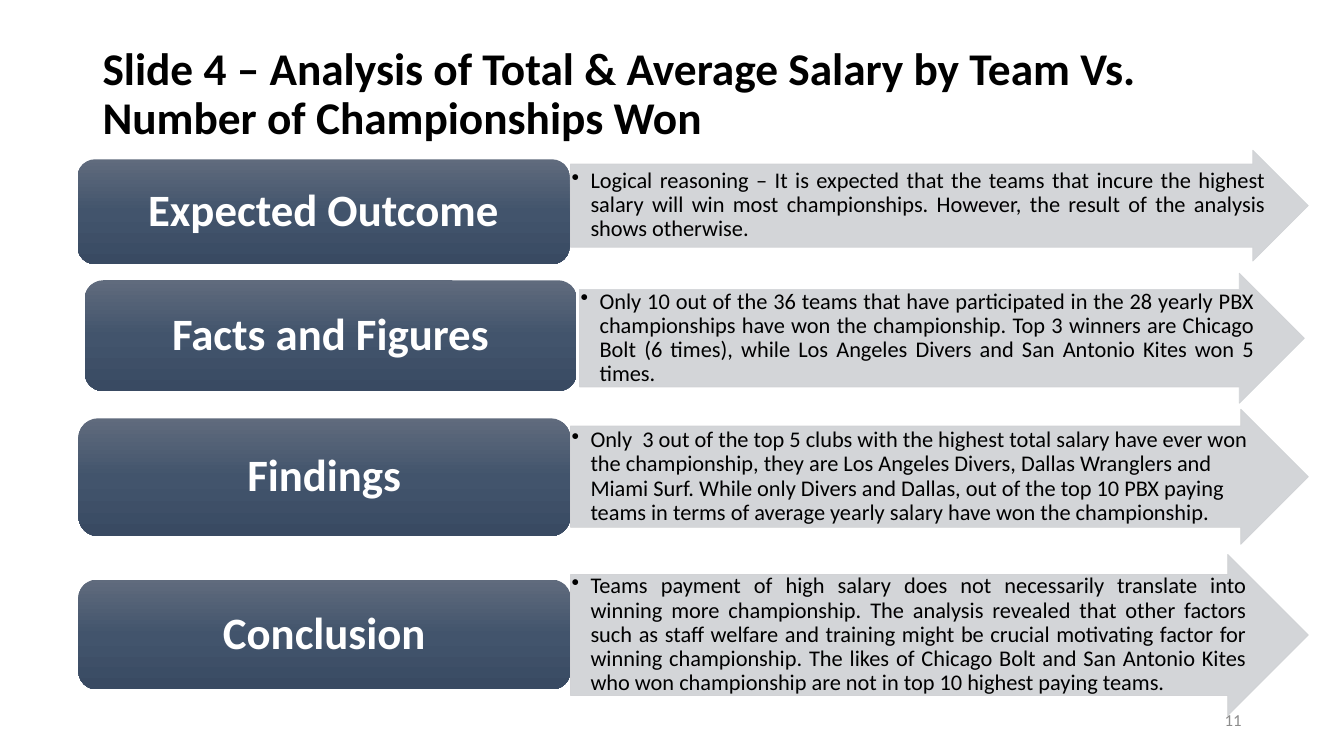
"""Build the slide on team salary versus championships won."""
from copy import deepcopy

from lxml import etree
from pptx import Presentation
from pptx.dml.color import RGBColor
from pptx.enum.shapes import MSO_SHAPE
from pptx.enum.text import MSO_ANCHOR, PP_ALIGN
from pptx.oxml.ns import qn
from pptx.util import Pt

ARROW, ROUNDED = MSO_SHAPE.RIGHT_ARROW, MSO_SHAPE.ROUNDED_RECTANGLE
MIDDLE = MSO_ANCHOR.MIDDLE
LEFT, CENTER, RIGHT, JUSTIFY = PP_ALIGN.LEFT, PP_ALIGN.CENTER, PP_ALIGN.RIGHT, PP_ALIGN.JUSTIFY
BLACK = RGBColor(0x00, 0x00, 0x00)
WHITE = RGBColor(0xFF, 0xFF, 0xFF)
GREY = RGBColor(0x8C, 0x8C, 0x8C)
ARROW_GREY = RGBColor(0xCF, 0xD1, 0xD4)
BOX_STOPS = [
    (0, RGBColor(0x60, 0x6B, 0x7D)),
    (0.5, RGBColor(0x42, 0x54, 0x6C)),
    (1, RGBColor(0x39, 0x4A, 0x62)),
]
BOX_LEFT, BOX_WIDTH = 56, 351.4
ARROW_LEFT, ARROW_RIGHT = 407.5, 934.5

ROWS = [
    ("Expected Outcome", (55.4, 113.8, 74.9), (ARROW_LEFT, 107.3, ARROW_RIGHT, 79.2), JUSTIFY,
     "Logical reasoning – It is expected that the teams that incure the highest salary will win "
     "most championships. However, the result of the analysis shows otherwise."),
    ("Facts and Figures", (60.5, 200.2, 79.2), (414, 195.1, 931.7, 92.9), JUSTIFY,
     "Only 10 out of the 36 teams that have participated in the 28 yearly PBX championships have "
     "won the championship. Top 3 winners are Chicago Bolt (6 times), while Los Angeles Divers "
     "and San Antonio Kites won 5 times."),
    ("Findings", (BOX_LEFT, 298.8, 84.2), (ARROW_LEFT, 292.3, ARROW_RIGHT, 96.5), LEFT,
     "Only  3 out of the top 5 clubs with the highest total salary have ever won the championship, "
     "they are Los Angeles Divers, Dallas Wranglers and Miami Surf. While only Divers and Dallas, "
     "out of the top 10 PBX paying teams in terms of average yearly salary have won the "
     "championship."),
    ("Conclusion", (BOX_LEFT, 414, 78.5), (ARROW_LEFT, 396, ARROW_RIGHT, 115.2), JUSTIFY,
     "Teams payment of high salary does not necessarily translate into winning more championship. "
     "The analysis revealed that other factors such as staff welfare and training might be crucial "
     "motivating factor for winning championship. The likes of Chicago Bolt and San Antonio Kites "
     "who won championship are not in top 10 highest paying teams."),
]


def set_text(sp, text, size, color, align, bold=False, insets=(7.2, 3.6)):
    tf = sp.text_frame
    tf.text = text
    tf.word_wrap = True
    tf.vertical_anchor = MIDDLE
    tf.margin_left = tf.margin_right = Pt(insets[0])
    tf.margin_top = tf.margin_bottom = Pt(insets[1])
    p = tf.paragraphs[0]
    p.alignment = align
    p.line_spacing = 0.9
    font = p.runs[0].font
    font.name, font.size, font.bold = "Calibri", Pt(size), bold
    font.color.rgb = color
    return p


prs = Presentation()
prs.slide_width, prs.slide_height = Pt(960), Pt(540)
s = prs.slides.add_slide(prs.slide_layouts[6])

title = s.shapes.add_textbox(Pt(66.2), Pt(28.8), Pt(828), Pt(78.5))
set_text(title, "Slide 4 – Analysis of Total & Average Salary by Team Vs. Number of Championships Won",
         32.4, BLACK, LEFT, bold=True)

for heading, (box_x, box_y, box_h), (x, y, right, h), align, detail in ROWS:
    arrow = s.shapes.add_shape(ARROW, Pt(x), Pt(y), Pt(right - x), Pt(h))
    arrow.shadow.inherit = False
    arrow.adjustments[0] = 0.75
    arrow.adjustments[1] = 0.5
    arrow.fill.solid()
    arrow.fill.fore_color.rgb = ARROW_GREY
    arrow.line.color.rgb = ARROW_GREY
    arrow.line.width = Pt(0.5)
    for clr in arrow.element.spPr.iter(qn("a:srgbClr")):
        etree.SubElement(clr, qn("a:alpha"), val="90000")
    p = set_text(arrow, detail, 16, BLACK, align, insets=(0.8, 0.8))
    pPr = p._p.get_or_add_pPr()
    pPr.set("marL", str(Pt(13.5)))
    pPr.set("indent", str(-Pt(13.5)))
    etree.SubElement(pPr, qn("a:buChar"), char="•")

    box = s.shapes.add_shape(ROUNDED, Pt(box_x), Pt(box_y), Pt(BOX_WIDTH), Pt(box_h))
    box.shadow.inherit = False
    box.line.fill.background()
    box.fill.gradient()
    box.fill.gradient_angle = 270
    gs_list = box.element.spPr.find(".//" + qn("a:gsLst"))
    gs_list.append(deepcopy(gs_list[0]))
    for stop, (position, color) in zip(box.fill.gradient_stops, BOX_STOPS):
        stop.position = position
        stop.color.rgb = color
    set_text(box, heading, 32, WHITE, CENTER, bold=True, insets=(9.6, 4.8))

number = s.shapes.add_textbox(Pt(678), Pt(500.4), Pt(216), Pt(28.8))
set_text(number, "11", 12, GREY, RIGHT)

prs.save("out.pptx")
